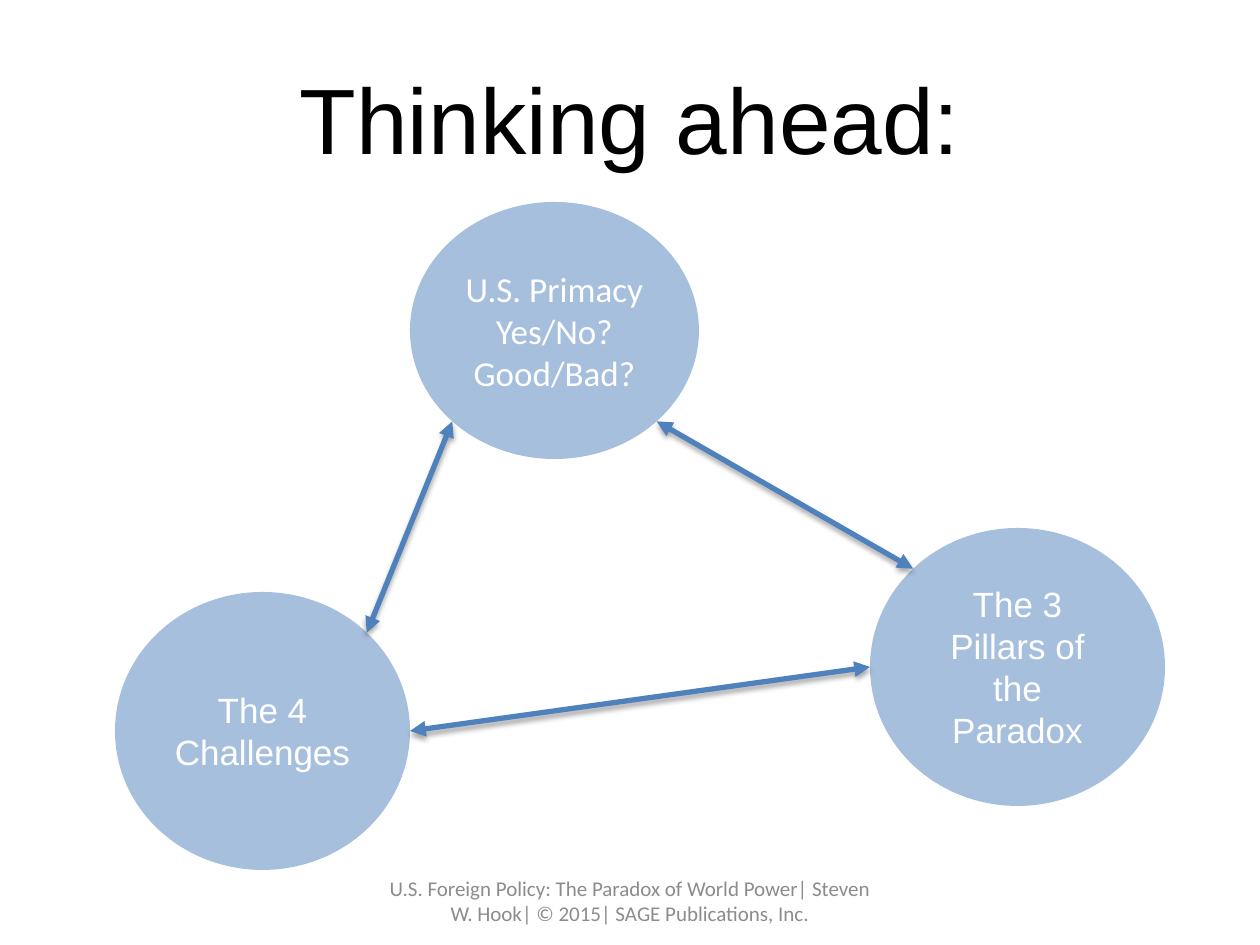
from dataclasses import dataclass
from math import cos, radians, sin

from lxml import etree
from pptx import Presentation
from pptx.dml.color import RGBColor
from pptx.enum.shapes import MSO_CONNECTOR, MSO_SHAPE
from pptx.enum.text import MSO_ANCHOR, PP_ALIGN
from pptx.oxml.ns import qn
from pptx.util import Emu, Pt

OVAL = MSO_SHAPE.OVAL
STRAIGHT = MSO_CONNECTOR.STRAIGHT
MIDDLE = MSO_ANCHOR.MIDDLE
CENTER = PP_ALIGN.CENTER
SCALE = 914400 / 126


@dataclass(frozen=True)
class Theme:
    blue: str = "4F81BD"
    black: str = "000000"
    white: str = "FFFFFF"
    gray: str = "8C8C8C"
    sans: str = "Arial"
    body: str = "Calibri"
    title: int = 53
    label: int = 20
    foot: int = 12
    line: int = 3


THEME = Theme()


def px(value):
    return Emu(round(value * SCALE))


def rgb(color):
    return RGBColor.from_string(color)


def node(parent, tag, **attrs):
    return etree.SubElement(parent, qn(tag), attrs)


def write(shape, *lines, font, size, color):
    frame = shape.text_frame
    frame.word_wrap = True
    frame.vertical_anchor = MIDDLE
    frame.text = "\n".join(lines)
    for para in frame.paragraphs:
        para.alignment = CENTER
        para.font.name = font
        para.font.size = Pt(size)
        para.font.color.rgb = rgb(color)


def place(shape, box):
    shape.left, shape.top, shape.width, shape.height = map(px, box)


def head(slide, box):
    title = slide.shapes.title
    place(title, box)
    write(title, "Thinking ahead:", font=THEME.sans, size=THEME.title, color=THEME.black)


def foot(slide, box):
    note = slide.shapes.add_textbox(*map(px, box))
    write(
        note,
        "U.S. Foreign Policy: The Paradox of World Power| Steven W. Hook| © 2015| SAGE Publications, Inc.",
        font=THEME.body, size=THEME.foot, color=THEME.gray,
    )


def bubble(slide, box, *lines, font):
    oval = slide.shapes.add_shape(OVAL, *map(px, box))
    oval.shadow.inherit = False
    oval.fill.solid()
    oval.fill.fore_color.rgb = rgb(THEME.blue)
    node(oval.fill._xPr.find(".//" + qn("a:srgbClr")), "a:alpha", val="50000")
    oval.line.fill.background()
    write(oval, *lines, font=font, size=THEME.label, color=THEME.white)


def rim(box, angle):
    left, top, width, height = box
    turn = radians(angle)
    return left + width / 2 * (1 + cos(turn)), top + height / 2 * (1 + sin(turn))


def arrow(slide, start, end):
    link = slide.shapes.add_connector(STRAIGHT, *map(px, (*start, *end)))
    link.line.color.rgb = rgb(THEME.blue)
    link.line.width = Pt(THEME.line)
    for tag in ("a:headEnd", "a:tailEnd"):
        node(link.line._get_or_add_ln(), tag, type="triangle")
    effect = node(link._element.spPr, "a:effectLst")
    shade = node(
        effect, "a:outerShdw", blurRad=str(Pt(3.1)), dist=str(Pt(1.8)),
        dir="5400000", rotWithShape="0",
    )
    node(node(shade, "a:srgbClr", val=THEME.black), "a:alpha", val="35000")


def cycle(slide, box):
    left, top, width, height = box
    wide, tall = 295, 278
    peak = (left + 295, top, 289, 257)
    west = (left, top + height - tall, wide, tall)
    east = (left + width - wide, top + 326, wide, tall)
    bubble(slide, peak, "U.S. Primacy", "Yes/No?", "Good/Bad?", font=THEME.body)
    bubble(slide, west, "The 4 Challenges", font=THEME.sans)
    bubble(slide, east, "The 3 Pillars of the Paradox", font=THEME.sans)
    arrow(slide, rim(west, 0), rim(east, 180))
    arrow(slide, rim(west, -45), rim(peak, 135))
    arrow(slide, rim(peak, 45), rim(east, -135))


def main():
    deck = Presentation()
    deck.slide_width, deck.slide_height = px(1260), px(945)
    slide = deck.slides.add_slide(deck.slide_layouts[5])
    head(slide, (63, 38, 1134, 158))
    foot(slide, (372, 876, 516, 50))
    cycle(slide, (115, 202, 1050, 668))
    deck.save("out.pptx")


if __name__ == "__main__":
    main()
